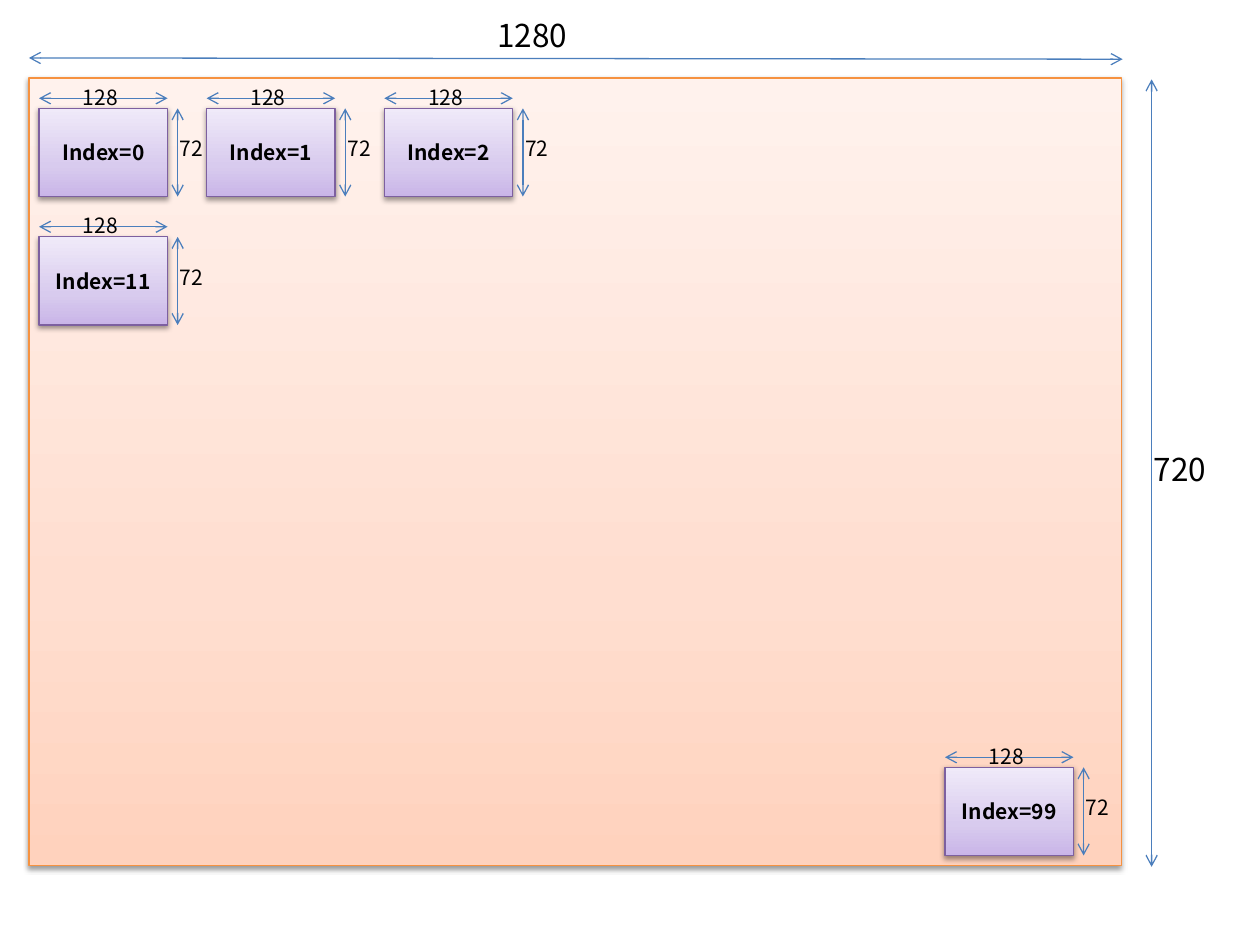
from pptx import Presentation
from pptx.dml.color import RGBColor
from pptx.enum.shapes import MSO_CONNECTOR as Conn, MSO_SHAPE as Shape
from pptx.enum.text import MSO_ANCHOR as Anchor, MSO_AUTO_SIZE as Fit, PP_ALIGN as Align
from pptx.oxml import parse_xml
from pptx.oxml.ns import nsdecls, qn
from pptx.util import Inches, Pt

FONT = "Noto Sans CJK KR"
BLACK = RGBColor(0x00, 0x00, 0x00)
BLUE = RGBColor(0x4B, 0x7E, 0xBC)
ORANGE = RGBColor(0xF6, 0x92, 0x40)
PURPLE = RGBColor(0x7D, 0x60, 0xA0)
# Gradient colours from bottom to top
PEACH = [RGBColor(0xFF, 0xD2, 0xBD), RGBColor(0xFF, 0xDE, 0xD0), RGBColor(0xFF, 0xF2, 0xED)]
LILAC = [RGBColor(0xC9, 0xB5, 0xE8), RGBColor(0xD8, 0xCB, 0xEE), RGBColor(0xF0, 0xEA, 0xF9)]
STOPS = [0, 35, 100]

CELL_W, CELL_H, GAP = 1.02, 0.7, 0.08
CELLS = [(0, 0.31, 0.86), (1, 1.64, 0.86), (2, 3.05, 0.86),
         (11, 0.31, 1.88), (99, 7.5, 6.09)]


def put_text(frame, text, size=12, bold=False, align=Align.LEFT):
    para = frame.paragraphs[0]
    para.alignment = align
    run = para.add_run()
    run.text = text
    font = run.font
    font.name, font.size, font.bold = FONT, Pt(size), bold
    font.color.rgb = BLACK


def add_box(shapes, x, y, w, h, shades, edge):
    """Rectangle with an upward gradient and a soft shadow below."""
    box = shapes.add_shape(Shape.RECTANGLE, Inches(x), Inches(y), Inches(w), Inches(h))
    box.line.color.rgb = edge
    box.line.width = Pt(0.75)
    stops = "".join(
        f'<a:gs pos="{pos * 1000}"><a:srgbClr val="{shade}"/></a:gs>'
        for pos, shade in zip(STOPS, shades))
    props = box._element.spPr
    props.find(qn("a:prstGeom")).addnext(parse_xml(
        f'<a:gradFill {nsdecls("a")} rotWithShape="1"><a:gsLst>{stops}</a:gsLst>'
        '<a:lin ang="16200000" scaled="0"/></a:gradFill>'))
    props.append(parse_xml(
        f'<a:effectLst {nsdecls("a")}><a:outerShdw blurRad="{Pt(3.1)}" dist="{Pt(1.6)}" '
        'dir="5400000" rotWithShape="0"><a:srgbClr val="000000"><a:alpha val="38000"/>'
        '</a:srgbClr></a:outerShdw></a:effectLst>'))
    return box


def add_arrow(shapes, x1, y1, x2, y2):
    """Thin dimension line with an open arrowhead at both ends."""
    arrow = shapes.add_connector(Conn.STRAIGHT, Inches(x1), Inches(y1), Inches(x2), Inches(y2))
    arrow.line.color.rgb = BLUE
    arrow.line.width = Pt(0.75)
    for end in ("headEnd", "tailEnd"):
        arrow.line._get_or_add_ln().append(
            parse_xml(f'<a:{end} {nsdecls("a")} type="arrow"/>'))
    arrow._element.spPr.append(parse_xml(f'<a:effectLst {nsdecls("a")}/>'))


def add_label(shapes, text, x, y, w, h, size=12):
    label = shapes.add_textbox(Inches(x), Inches(y), Inches(w), Inches(h))
    frame = label.text_frame
    frame.word_wrap = False
    frame.auto_size = Fit.SHAPE_TO_FIT_TEXT
    put_text(frame, text, size=size)


def add_cell(slide, index, x, y):
    """Group of one indexed tile and its two dimensions."""
    shapes = slide.shapes.add_group_shape().shapes
    right, base = x + CELL_W, y + CELL_H
    tile = add_box(shapes, x, y, CELL_W, CELL_H, LILAC, PURPLE)
    tile.text_frame.vertical_anchor = Anchor.MIDDLE
    put_text(tile.text_frame, f"Index={index}", bold=True, align=Align.CENTER)
    add_arrow(shapes, x, y - GAP, right, y - GAP)
    add_label(shapes, "128", x + 0.25, y - 0.24, 0.48, 0.3)
    add_arrow(shapes, right + GAP, y, right + GAP, base)
    add_label(shapes, "72", right, y + 0.17, 0.39, 0.3)


def main():
    deck = Presentation()
    deck.slide_width, deck.slide_height = Inches(10), Inches(7.5)
    slide = deck.slides.add_slide(deck.slide_layouts[6])
    shapes = slide.shapes

    # Whole area with its dimensions
    add_box(shapes, 0.23, 0.62, 8.67, 6.25, PEACH, ORANGE)
    add_arrow(shapes, 0.23, 0.46, 8.91, 0.47)
    add_label(shapes, "1280", 3.85, 0.08, 0.76, 0.4, size=18)
    add_arrow(shapes, 9.14, 0.63, 9.14, 6.88)
    add_label(shapes, "720", 9.06, 3.52, 0.62, 0.4, size=18)

    # Indexed tiles
    for index, x, y in CELLS:
        add_cell(slide, index, x, y)

    deck.save("out.pptx")


if __name__ == "__main__":
    main()
